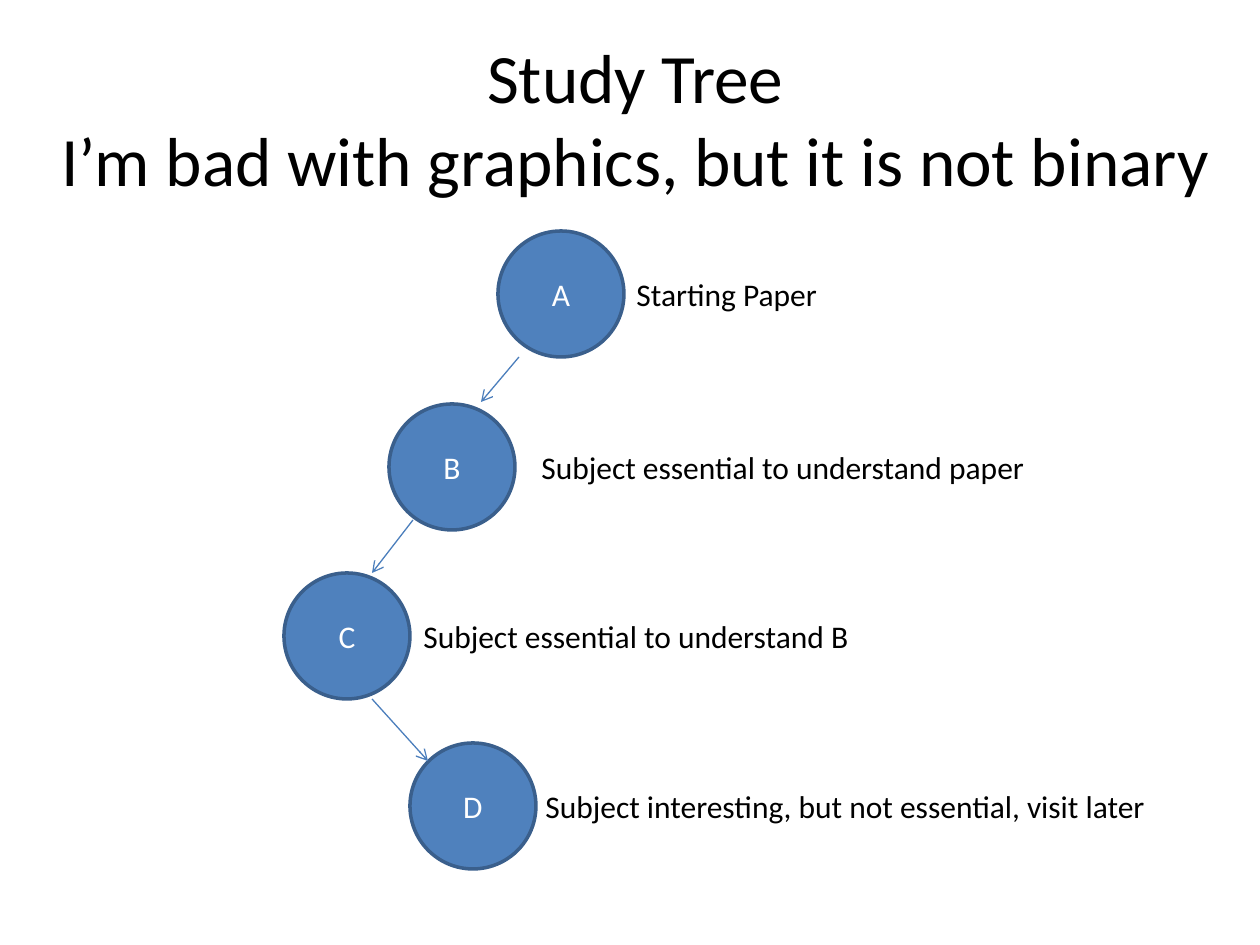
from lxml import etree
from pptx import Presentation
from pptx.dml.color import RGBColor
from pptx.enum.shapes import MSO_CONNECTOR, MSO_SHAPE
from pptx.enum.text import MSO_ANCHOR, MSO_AUTO_SIZE, PP_ALIGN
from pptx.oxml.ns import qn
from pptx.util import Pt

TITLE = "Study Tree\vI’m bad with graphics, but it is not binary"
TITLE_BOX = (32, 38, 1207, 158)

# letter, circle left, circle top, label left, label width, label
NODES = [
    ("A", 498, 231, 624, 208, "Starting Paper"),
    ("B", 389, 404, 529, 514, "Subject essential to understand paper"),
    ("C", 284, 573, 411, 456, "Subject essential to understand B"),
    ("D", 410, 743, 533, 633, "Subject interesting, but not essential, visit later"),
]
# start x, start y, end x, end y
ARROWS = [
    (519, 357, 481, 402),
    (413, 520, 372, 573),
    (372, 699, 428, 761),
]
DIAMETER = 126
LABEL_DROP = 38
LABEL_HEIGHT = 50

FONT = "Calibri"
COLORS = {"text": "000000", "node": "4F81BD", "outline": "3A5F8C",
          "letter": "FFFFFF", "arrow": "4B7EBC"}

ELLIPSE = MSO_SHAPE.OVAL
STRAIGHT = MSO_CONNECTOR.STRAIGHT
CENTER, LEFT = PP_ALIGN.CENTER, PP_ALIGN.LEFT
MIDDLE, TOP = MSO_ANCHOR.MIDDLE, MSO_ANCHOR.TOP
NO_FIT, GROW = MSO_AUTO_SIZE.NONE, MSO_AUTO_SIZE.SHAPE_TO_FIT_TEXT


def px(*values):
    """Turn px into EMU, at 126 px to the inch."""
    return [round(v * 914400 / 126) for v in values]


def color(name):
    return RGBColor.from_string(COLORS[name])


def write(s, text, size, color_name, align, anchor, fit=NO_FIT, wrap=True):
    tf = s.text_frame
    tf.text = text
    tf.word_wrap = wrap
    tf.auto_size = fit
    tf.vertical_anchor = anchor
    p = tf.paragraphs[0]
    p.alignment = align
    p.font.name = FONT
    p.font.size = Pt(size)
    p.font.color.rgb = color(color_name)


def add_node(shapes, letter, left, top):
    s = shapes.add_shape(ELLIPSE, *px(left, top, DIAMETER, DIAMETER))
    s.shadow.inherit = False
    s.fill.solid()
    s.fill.fore_color.rgb = color("node")
    s.line.color.rgb = color("outline")
    s.line.width = Pt(2)
    write(s, letter, 18, "letter", CENTER, MIDDLE)


def add_arrow(shapes, ends):
    c = shapes.add_connector(STRAIGHT, *px(*ends))
    c.line.color.rgb = color("arrow")
    c.line.width = Pt(0.75)
    etree.SubElement(c.line._get_or_add_ln(), qn("a:tailEnd"), type="arrow")
    etree.SubElement(c._element.spPr, qn("a:effectLst"))


def main():
    prs = Presentation()
    prs.slide_width, prs.slide_height = px(1260, 945)
    slide = prs.slides.add_slide(prs.slide_layouts[5])
    shapes = slide.shapes

    title = shapes.title
    title.left, title.top, title.width, title.height = px(*TITLE_BOX)
    write(title, TITLE, 39.6, "text", CENTER, MIDDLE)

    for letter, left, top, label_left, label_width, label in NODES:
        add_node(shapes, letter, left, top)
        box = shapes.add_textbox(
            *px(label_left, top + LABEL_DROP, label_width, LABEL_HEIGHT))
        write(box, label, 18, "text", LEFT, TOP, GROW, wrap=False)

    for ends in ARROWS:
        add_arrow(shapes, ends)

    prs.save("out.pptx")


if __name__ == "__main__":
    main()
